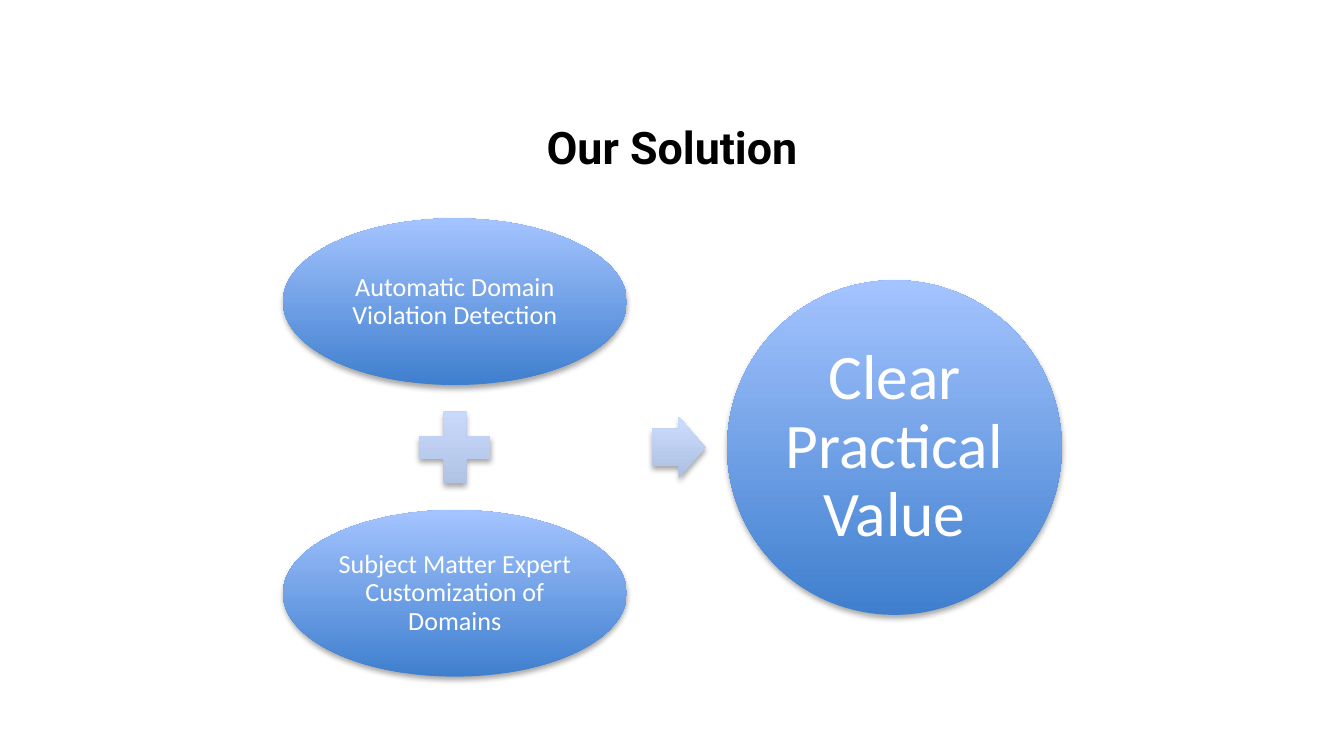
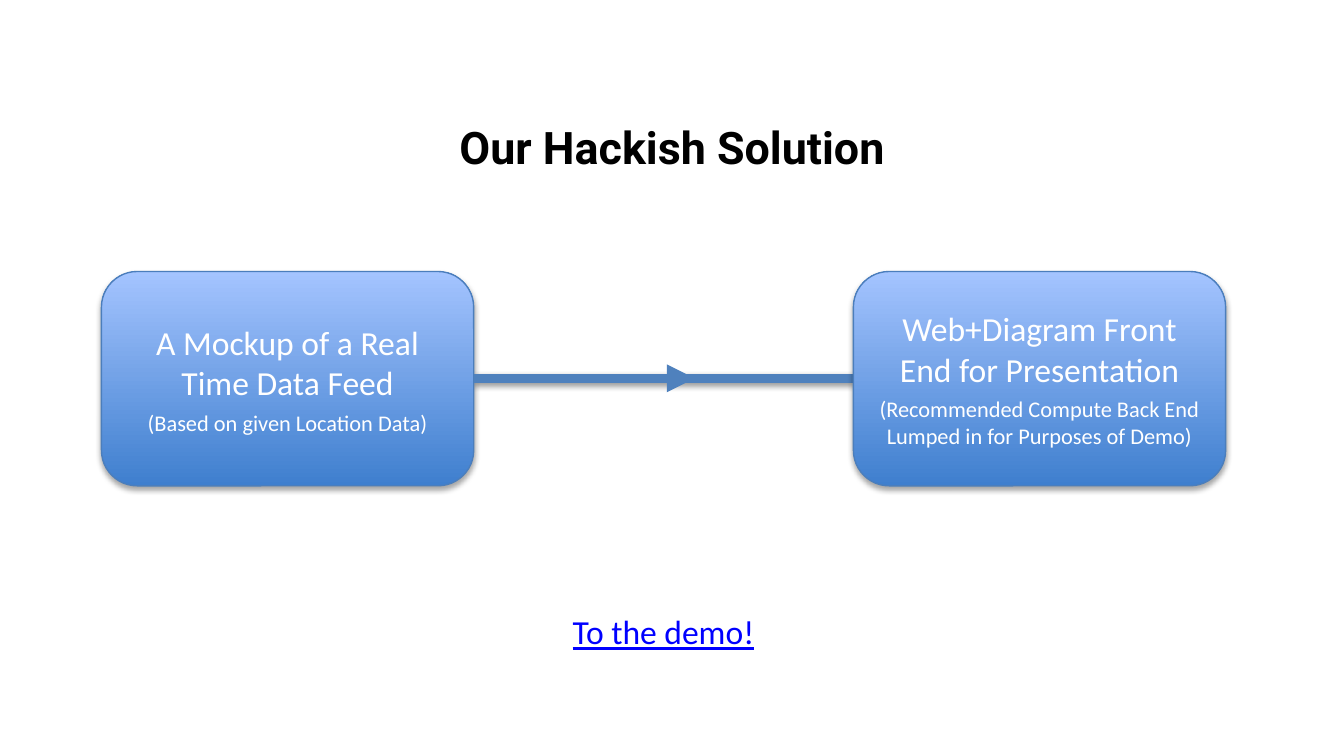
from lxml.etree import SubElement
from pptx import Presentation
from pptx.dml.color import RGBColor
from pptx.enum.shapes import MSO_CONNECTOR, MSO_SHAPE
from pptx.enum.text import MSO_ANCHOR, PP_ALIGN
from pptx.oxml.ns import qn
from pptx.util import Emu, Pt

PX = 4572
BLANK = 6
BODY_FONT = "Calibri"
TITLE_FONT = "Roboto"
COLOURS = {
    "deep": "3F7FCE",
    "light": "A4C4FF",
    "pale_deep": "ADBFE1",
    "pale_light": "CCDDFF",
    "border": "4B7EBC",
    "arrow": "4F81BD",
    "link": "0000FF",
    "white": "FFFFFF",
    "black": "000000",
}
STRONG = ("deep", "light")
PALE = ("pale_deep", "pale_light")


def px(length):
    return Emu(length * PX)


def colour(name):
    return RGBColor.from_string(COLOURS[name])


def set_effect(shape, shadow=True, alpha=35, distance=1.8):
    effects = SubElement(shape.element.spPr, qn("a:effectLst"))
    if shadow:
        outer = SubElement(effects, qn("a:outerShdw"), blurRad=str(Pt(3.1)),
                           dist=str(Pt(distance)), dir="5400000", rotWithShape="0")
        shade = SubElement(outer, qn("a:srgbClr"), val=COLOURS["black"])
        SubElement(shade, qn("a:alpha"), val=str(alpha * 1000))


def write(box, lines, tint="white", font=BODY_FONT, spacing=None, gap=0,
          inset=None, anchor=MSO_ANCHOR.MIDDLE, bold=False, underline=False):
    frame = box.text_frame
    frame.word_wrap = True
    frame.vertical_anchor = anchor
    if inset is not None:
        frame.margin_left = frame.margin_right = px(inset)
        frame.margin_top = frame.margin_bottom = px(inset)
    for index, (text, size) in enumerate(lines):
        para = frame.add_paragraph() if index else frame.paragraphs[0]
        para.alignment = PP_ALIGN.CENTER
        if spacing:
            para.line_spacing = spacing
        if index:
            para.space_before = Pt(gap)
        span = para.add_run()
        span.text = text
        span.font.name = font
        span.font.size = Pt(size)
        span.font.color.rgb = colour(tint)
        span.font.bold = bold
        span.font.underline = underline


def add_text(page, left, top, width, height, text, size, **style):
    box = page.shapes.add_textbox(px(left), px(top), px(width), px(height))
    write(box, [(text, size)], **style)


def add_title(page, text):
    add_text(page, 100, 159, 1800, 118, text, 24, tint="black", font=TITLE_FONT, bold=True)


def add_node(page, kind, left, axis, width, height, gradient=STRONG, border=None):
    box = page.shapes.add_shape(kind, px(left), px(axis - height // 2),
                                px(width), px(height))
    box.fill.gradient()
    box.fill.gradient_angle = 90
    for stop, name in zip(box.fill.gradient_stops, gradient):
        stop.color.rgb = colour(name)
    if border:
        box.line.color.rgb = colour(border)
        box.line.width = Pt(0.75)
    else:
        box.line.fill.background()
    set_effect(box)
    return box


def add_line(page, start, end, axis, shadow=False, arrow=False):
    line = page.shapes.add_connector(MSO_CONNECTOR.STRAIGHT, px(start), px(axis),
                                     px(end), px(axis))
    line.line.color.rgb = colour("arrow")
    line.line.width = Pt(5)
    if arrow:
        SubElement(line.element.spPr.find(qn("a:ln")), qn("a:tailEnd"), type="triangle")
    set_effect(line, shadow, alpha=38, distance=1.6)


def build_solution(page):
    axis, step = 666, 217
    add_title(page, "Our Solution")
    inputs = ["Automatic Domain Violation Detection",
              "Subject Matter Expert Customization of Domains"]
    for text, middle in zip(inputs, (axis - step, axis + step)):
        box = add_node(page, MSO_SHAPE.OVAL, 421, middle, 512, 248)
        write(box, [(text, 14)], spacing=0.9, inset=4)
    add_node(page, MSO_SHAPE.MATH_PLUS, 605, axis, 144, 144, PALE)
    arrow = add_node(page, MSO_SHAPE.RIGHT_ARROW, 970, axis, 80, 92, PALE)
    arrow.adjustments[0] = 0.6
    arrow.adjustments[1] = 0.5
    value = add_node(page, MSO_SHAPE.OVAL, 1082, axis, 498, 498)
    write(value, [("Clear Practical Value", 34)], spacing=0.9, inset=10)


def build_hackish_solution(page):
    axis, width, feed_left, front_left = 563, 554, 151, 1270
    feed_right = feed_left + width
    add_line(page, front_left, feed_right, axis, shadow=True)
    add_title(page, "Our Hackish Solution")
    stages = [
        (feed_left, "A Mockup of a Real Time Data Feed",
         "(Based on given Location Data)"),
        (front_left, "Web+Diagram Front End for Presentation",
         "(Recommended Compute Back End Lumped in for Purposes of Demo)"),
    ]
    for left, heading, detail in stages:
        box = add_node(page, MSO_SHAPE.ROUNDED_RECTANGLE, left, axis, width, 319,
                       border="border")
        write(box, [(heading, 18), (detail, 12)], gap=3.5)
    add_line(page, feed_right, 1034, axis, arrow=True)
    add_text(page, feed_right, 900, 565, 80, "To the demo!", 18, tint="link",
             anchor=MSO_ANCHOR.TOP, underline=True)


def main():
    deck = Presentation()
    deck.slide_width = px(2000)
    deck.slide_height = px(1125)
    for build in (build_solution, build_hackish_solution):
        build(deck.slides.add_slide(deck.slide_layouts[BLANK]))
    deck.save("out.pptx")


if __name__ == "__main__":
    main()
